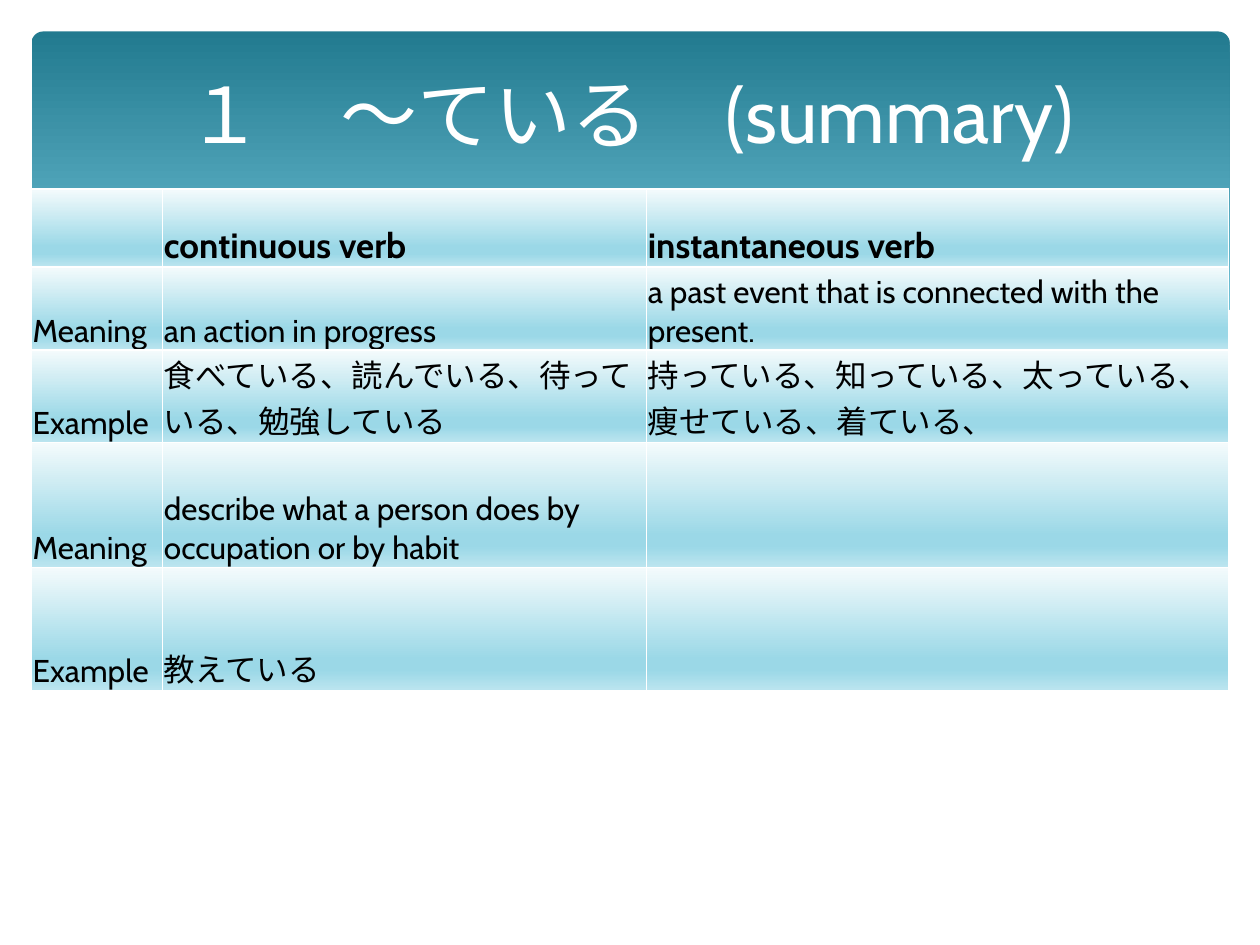
import pptx
import pptx.dml.color
import pptx.enum.shapes
import pptx.enum.text
import pptx.oxml
import pptx.oxml.ns
import pptx.util
from lxml import etree

Pt = pptx.util.Pt
RGBColor = pptx.dml.color.RGBColor
qn = pptx.oxml.ns.qn

TITLE = "１　～ている　(summary)"
ROWS = [
    ("", "continuous verb", "instantaneous verb"),
    ("Meaning", "an action in progress",
     "a past event that is connected with the present."),
    ("Example", "食べている、読んでいる、待っている、勉強している",
     "持っている、知っている、太っている、痩せている、着ている、"),
    ("Meaning", "describe what a person does by occupation or by habit", ""),
    ("Example", "教えている", ""),
]
COLUMN_WIDTHS = [75, 276.5, 332.5]
ROW_HEIGHTS = [44.6, 47.5, 47.5, 71.3, 70.6]

FONT = "Cabin"
WHITE = RGBColor(0xFF, 0xFF, 0xFF)
BLACK = RGBColor(0x00, 0x00, 0x00)
TEAL = RGBColor(0x22, 0x7A, 0x8F)
AQUA = RGBColor(0x7A, 0xCB, 0xE0)
ICE = RGBColor(0xF4, 0xFB, 0xFC)
SKY = RGBColor(0x9B, 0xD8, 0xE7)
MIST = RGBColor(0xBC, 0xE5, 0xEF)
BANNER_STOPS = [(0, TEAL), (90, AQUA)]
CELL_STOPS = [(0, ICE), (74, SKY), (83, SKY), (100, MIST)]

# Lower edge of the banner: a white wave, from its right end to its left end
WAVE = [(703.4, 177), (670, 189), (630, 197), (582, 199.4), (523, 196),
        (451, 186), (381, 172), (322, 158), (263, 145), (210, 137),
        (152, 132.5), (105, 133), (68, 137.5), (33, 146), (16.6, 153.4),
        (16.6, 236.9), (703.4, 236.9)]


def fill_downwards(fill, element, stops):
    """Give a top-to-bottom gradient with any number of stops."""
    fill.gradient()
    fill.gradient_angle = 270
    stop_list = next(element.iter(qn("a:gsLst")))
    for old_stop in list(stop_list):
        stop_list.remove(old_stop)
    for percent, color in stops:
        stop = etree.SubElement(stop_list, qn("a:gs"), pos=str(percent * 1000))
        etree.SubElement(stop, qn("a:srgbClr"), val=str(color))


def add_borders(cell):
    properties = cell._tc.get_or_add_tcPr()
    for index, side in enumerate(("lnL", "lnR", "lnT", "lnB")):
        border = pptx.oxml.parse_xml(
            f'<a:{side} {pptx.oxml.ns.nsdecls("a")} w="{Pt(1)}"><a:solidFill>'
            f'<a:srgbClr val="{WHITE}"/></a:solidFill></a:{side}>')
        properties.insert(index, border)


def style_text(paragraph, size, color, bold=False):
    font = paragraph.font
    font.name, font.size, font.bold = FONT, Pt(size), bold
    font.color.rgb = color
    for run in paragraph.runs:
        run.font.name, run.font.size, run.font.bold = FONT, Pt(size), bold
        run.font.color.rgb = color


def add_banner(slide):
    banner = slide.shapes.add_shape(
        pptx.enum.shapes.MSO_SHAPE.ROUNDED_RECTANGLE,
        Pt(18), Pt(18), Pt(684.7), Pt(194.4))
    banner.adjustments[0] = 0.034
    banner.shadow.inherit = False
    banner.line.fill.background()
    fill_downwards(banner.fill, banner._element, BANNER_STOPS)

    builder = slide.shapes.build_freeform(*WAVE[0], scale=Pt(1))
    builder.add_line_segments(WAVE[1:], close=True)
    wave = builder.convert_to_shape()
    wave.shadow.inherit = False
    wave.fill.solid()
    wave.fill.fore_color.rgb = WHITE
    wave.line.fill.background()


def add_verb_table(slide):
    table = slide.shapes.add_table(
        len(ROWS), len(COLUMN_WIDTHS), Pt(18), Pt(108),
        Pt(sum(COLUMN_WIDTHS)), Pt(sum(ROW_HEIGHTS))).table
    table.first_row = table.horz_banding = False
    for column, width in zip(table.columns, COLUMN_WIDTHS):
        column.width = Pt(width)
    for row, height in zip(table.rows, ROW_HEIGHTS):
        row.height = Pt(height)
    for r, texts in enumerate(ROWS):
        for c, text in enumerate(texts):
            cell = table.cell(r, c)
            cell.margin_left = cell.margin_top = cell.margin_right = Pt(0.72)
            cell.margin_bottom = 0
            cell.vertical_anchor = pptx.enum.text.MSO_ANCHOR.BOTTOM
            fill_downwards(cell.fill, cell._tc, CELL_STOPS)
            add_borders(cell)
            if text:
                cell.text_frame.text = text
                style_text(cell.text_frame.paragraphs[0],
                           20 if r == 0 else 18, BLACK, bold=r == 0)


def add_title(slide):
    title = slide.shapes.title
    title.left, title.top = Pt(36), Pt(26.6)
    title.width, title.height = Pt(648), Pt(75.6)
    title.text_frame.text = TITLE
    title.text_frame.vertical_anchor = pptx.enum.text.MSO_ANCHOR.MIDDLE
    heading = title.text_frame.paragraphs[0]
    heading.alignment = pptx.enum.text.PP_ALIGN.CENTER
    style_text(heading, 44, WHITE)
    # The title lies in front of the banner
    slide.shapes._spTree.append(title._element)


def main():
    presentation = pptx.Presentation()
    presentation.slide_width, presentation.slide_height = Pt(720), Pt(540)
    slide = presentation.slides.add_slide(presentation.slide_layouts[5])
    add_banner(slide)
    add_verb_table(slide)
    add_title(slide)
    presentation.save("out.pptx")


if __name__ == "__main__":
    main()
